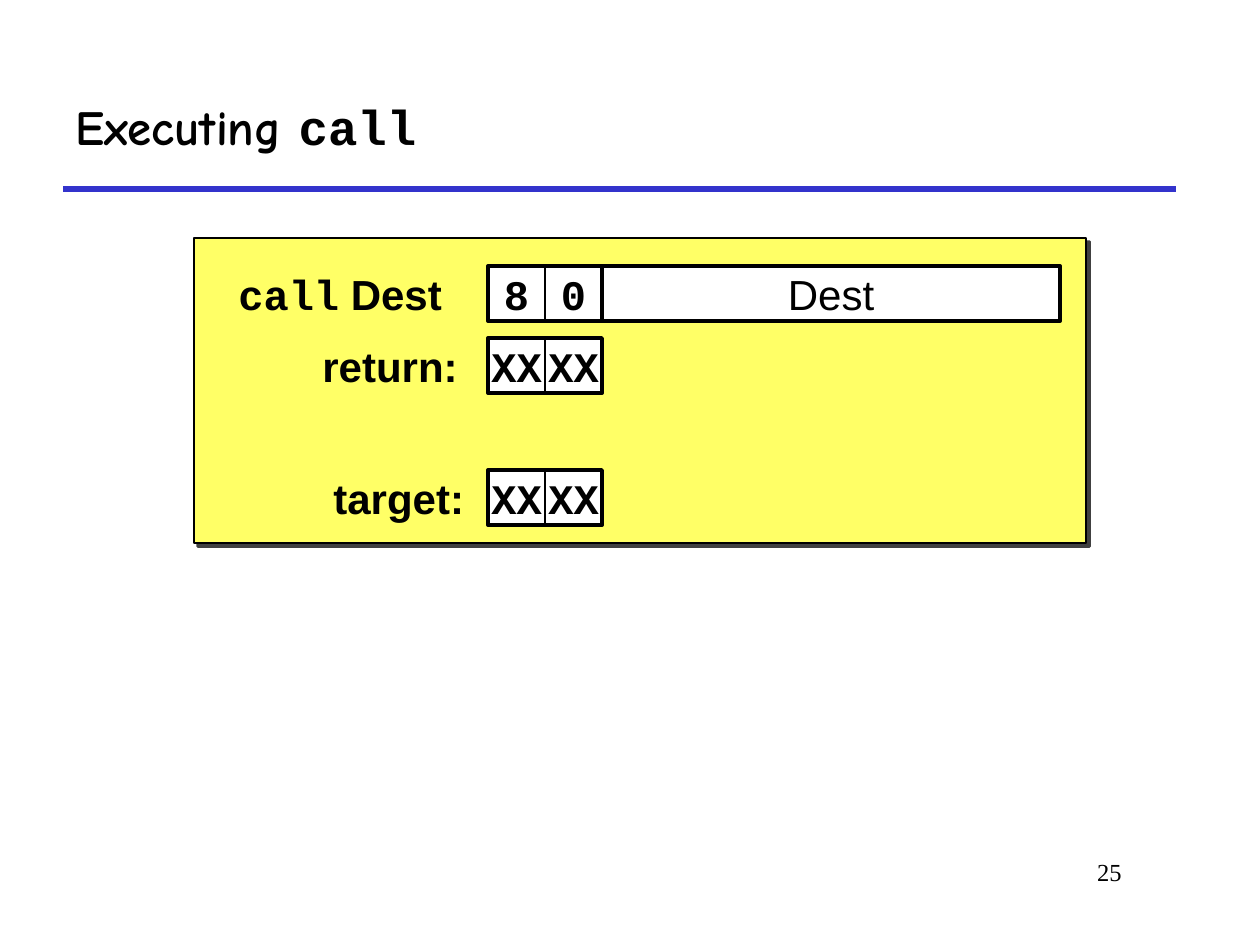
"""Build the slide that shows how a call instruction is executed."""
from dataclasses import dataclass

from lxml.etree import SubElement
from pptx import Presentation
from pptx.dml.color import RGBColor
from pptx.enum.shapes import MSO_CONNECTOR, MSO_SHAPE
from pptx.enum.text import MSO_ANCHOR, PP_ALIGN
from pptx.oxml.ns import qn
from pptx.util import Pt


@dataclass(frozen=True)
class Theme:
    black: str = "000000"
    white: str = "FFFFFF"
    panel: str = "FFFF66"
    rule: str = "3333CC"
    title_font: str = "Comic Neue"
    code_font: str = "Courier New"
    body_font: str = "Arial"
    number_font: str = "Times New Roman"
    title_size: int = 28
    body_size: int = 24
    number_size: int = 14


THEME = Theme()
EMU_PER_PX = 914400 / 126

TITLE = [("Executing ", THEME.title_font), ("call", THEME.code_font)]
SLIDE_NUMBER = "25"
ROWS = [
    {"label": [("call", THEME.code_font), (" Dest", THEME.body_font)],
     "left": 226, "top": 266, "bytes": ["8", "0"], "operand": "Dest"},
    {"label": [("return:", THEME.body_font)],
     "left": 310, "top": 338, "bytes": ["XX", "XX"], "operand": None},
    {"label": [("target:", THEME.body_font)],
     "left": 321, "top": 470, "bytes": ["XX", "XX"], "operand": None},
]
BYTES_LEFT, BYTE_WIDTH, ROW_HEIGHT = 488, 57, 55
OPERAND_WIDTH = 458
LABEL_RIGHT = 488


def px(value):
    return round(value * EMU_PER_PX)


def box(*pixels):
    return [px(value) for value in pixels]


def color(name):
    return RGBColor.from_string(name)


def write(shape, runs, size, bold=True, align=PP_ALIGN.LEFT, anchor=MSO_ANCHOR.MIDDLE):
    frame = shape.text_frame
    frame.word_wrap = True
    frame.vertical_anchor = anchor
    paragraph = frame.paragraphs[0]
    paragraph.alignment = align
    for text, font_name in runs:
        run = paragraph.add_run()
        run.text = text
        run.font.name = font_name
        run.font.size = Pt(size)
        run.font.bold = bold
        run.font.color.rgb = color(THEME.black)


def add_rectangle(slide, bounds, fill, line_width):
    shape = slide.shapes.add_shape(MSO_SHAPE.RECTANGLE, *box(*bounds))
    shape.shadow.inherit = False
    if fill:
        shape.fill.solid()
        shape.fill.fore_color.rgb = color(fill)
    else:
        shape.fill.background()
    shape.line.color.rgb = color(THEME.black)
    shape.line.width = Pt(line_width)
    return shape


def add_cell(slide, bounds, text, font_name, line_width, bold):
    cell = add_rectangle(slide, bounds, THEME.white, line_width)
    write(cell, [(text, font_name)], THEME.body_size, bold, PP_ALIGN.CENTER)
    cell.text_frame.word_wrap = False
    cell.text_frame.margin_left = cell.text_frame.margin_right = 0


def add_title(slide):
    title = slide.shapes.title
    title.left, title.top, title.width, title.height = box(63, 63, 1113, 126)
    write(title, TITLE, THEME.title_size)
    rule = slide.shapes.add_connector(MSO_CONNECTOR.STRAIGHT, *box(63, 189, 1176, 189))
    rule.line.color.rgb = color(THEME.rule)
    rule.line.width = Pt(3)
    SubElement(rule._element.spPr, qn("a:effectLst"))


def add_panel(slide):
    panel = add_rectangle(slide, (194, 238, 892, 305), THEME.panel, 1.5)
    effects = panel._element.spPr.find(qn("a:effectLst"))
    shadow = SubElement(effects, qn("a:outerShdw"), dist=str(Pt(3)),
                        dir=str(45 * 60000), algn="ctr", rotWithShape="0")
    shade = SubElement(shadow, qn("a:srgbClr"), val=THEME.black)
    SubElement(shade, qn("a:alpha"), val="75000")


def add_row(slide, row):
    top = row["top"]
    label = slide.shapes.add_textbox(
        *box(row["left"], top, LABEL_RIGHT - row["left"], ROW_HEIGHT))
    write(label, row["label"], THEME.body_size)
    for index, text in enumerate(row["bytes"]):
        bounds = (BYTES_LEFT + index * BYTE_WIDTH, top, BYTE_WIDTH, ROW_HEIGHT)
        add_cell(slide, bounds, text, THEME.code_font, 0.5, True)
    bytes_width = len(row["bytes"]) * BYTE_WIDTH
    add_rectangle(slide, (BYTES_LEFT, top, bytes_width, ROW_HEIGHT), None, 2.25)
    if row["operand"]:
        bounds = (BYTES_LEFT + bytes_width, top, OPERAND_WIDTH, ROW_HEIGHT)
        add_cell(slide, bounds, row["operand"], THEME.body_font, 2.25, False)


def main():
    presentation = Presentation()
    presentation.slide_width, presentation.slide_height = box(1260, 945)
    slide = presentation.slides.add_slide(presentation.slide_layouts[5])
    add_title(slide)
    add_panel(slide)
    for row in ROWS:
        add_row(slide, row)
    number = slide.shapes.add_textbox(*box(955, 851, 179, 63))
    write(number, [(SLIDE_NUMBER, THEME.number_font)], THEME.number_size,
          False, PP_ALIGN.RIGHT, MSO_ANCHOR.TOP)
    presentation.save("out.pptx")


if __name__ == "__main__":
    main()
